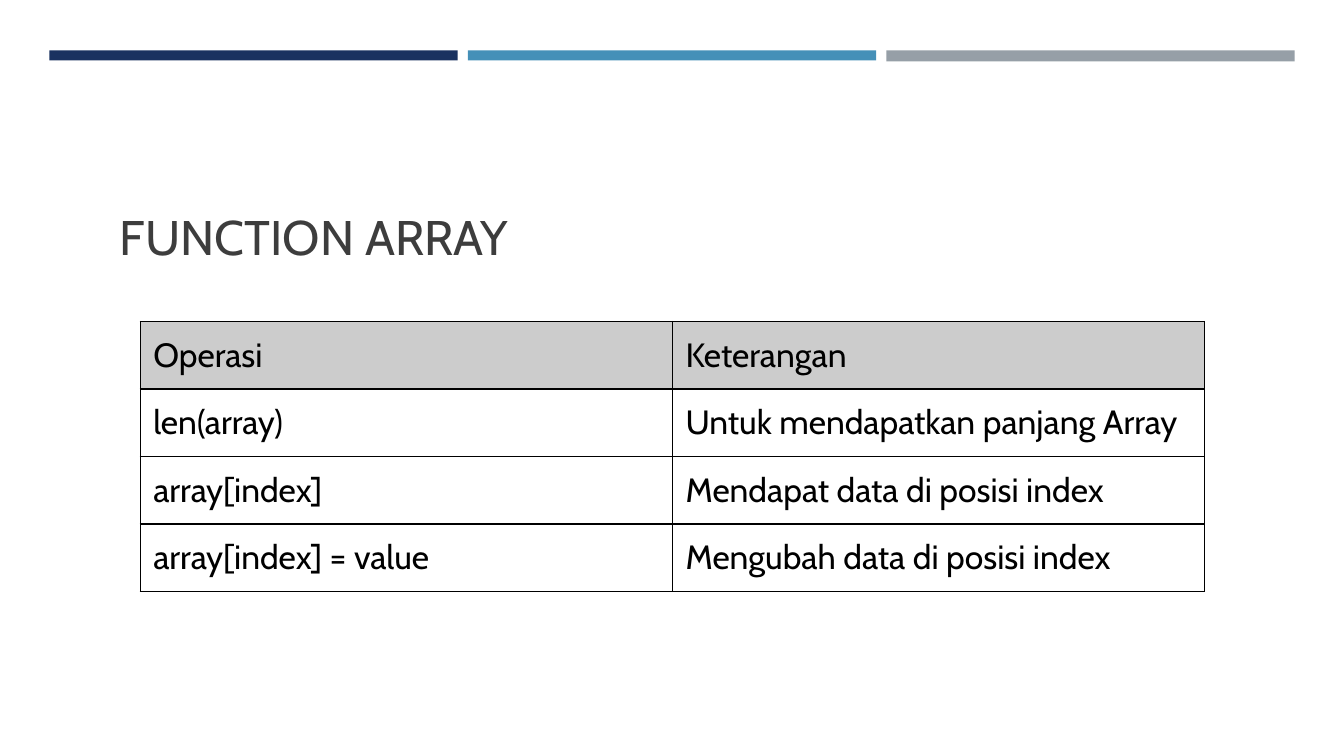
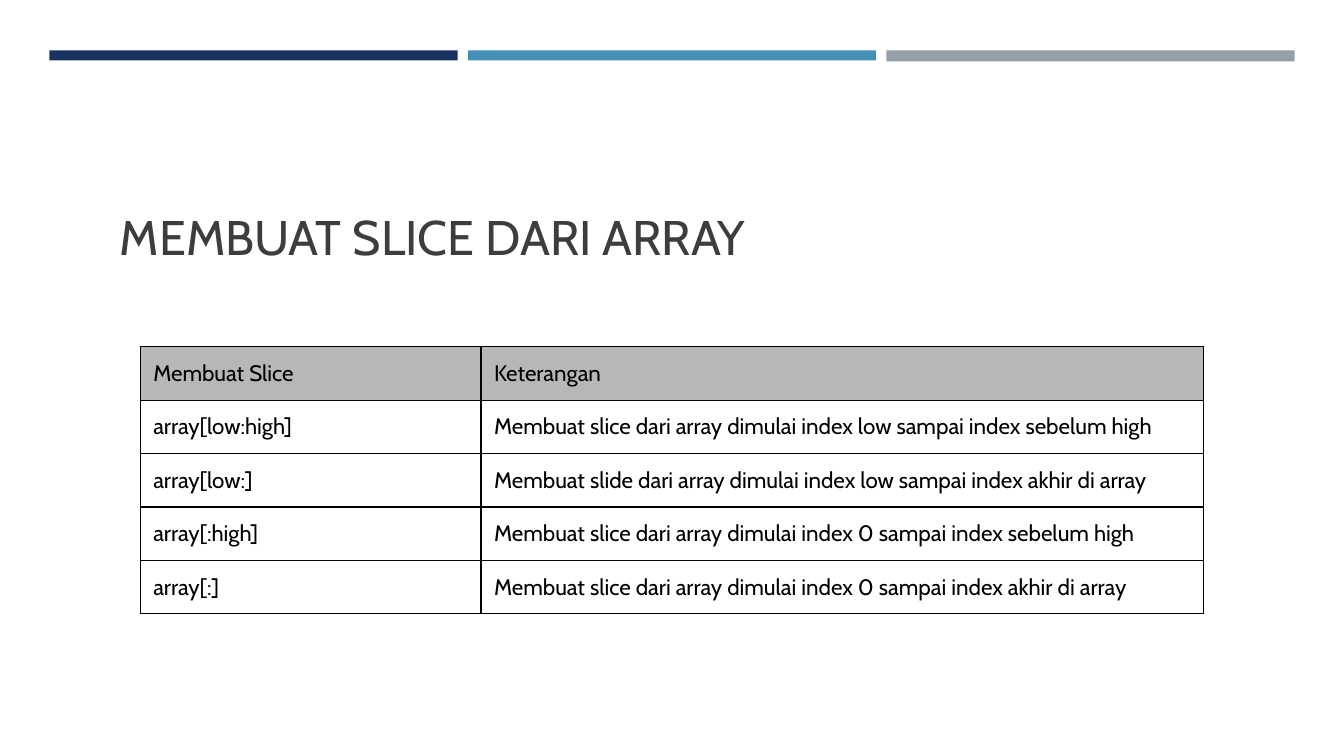
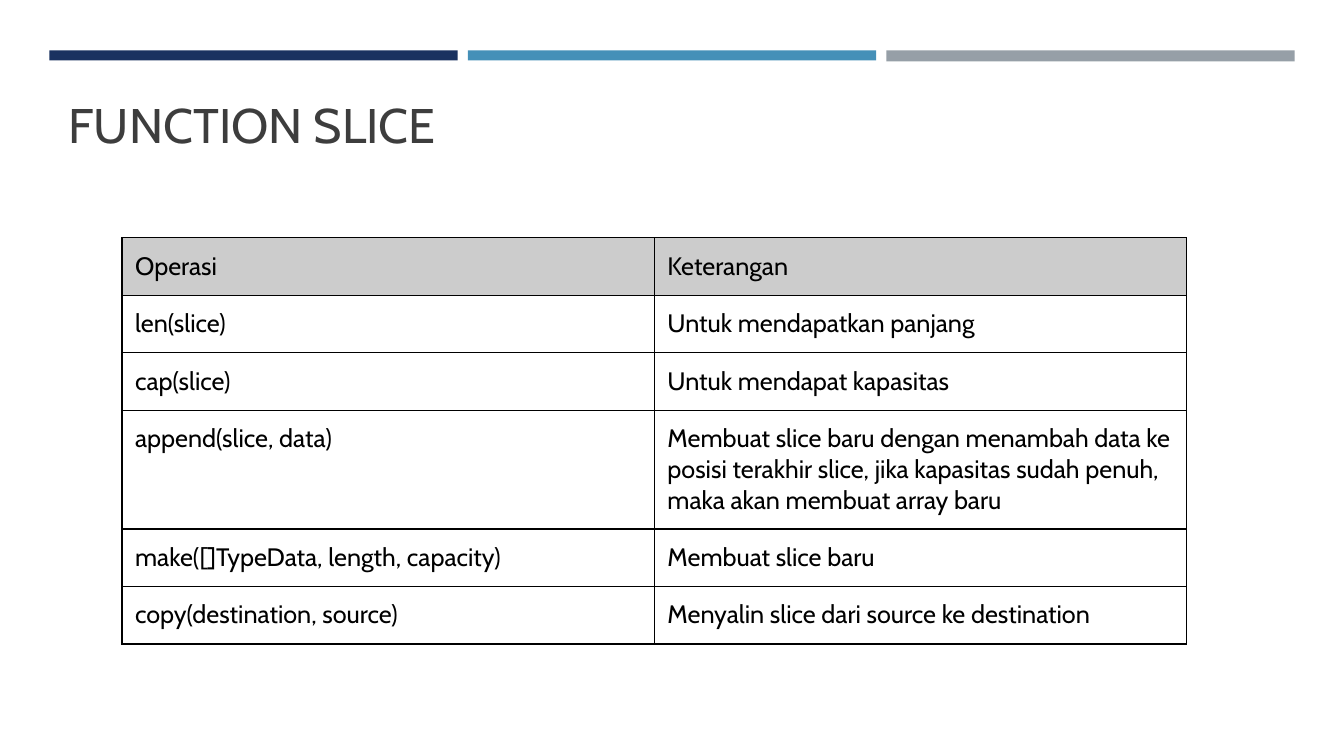
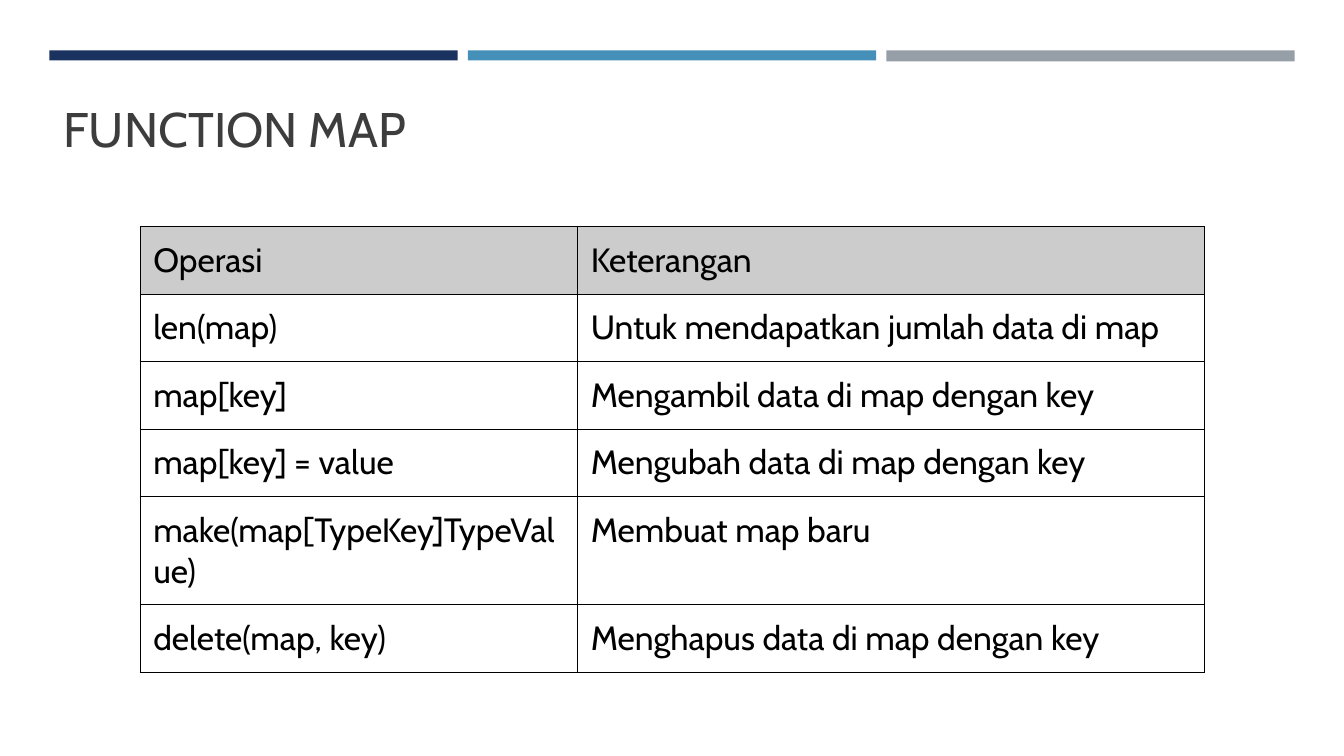
from pptx import Presentation
from pptx.dml.color import RGBColor
from pptx.enum.shapes import MSO_SHAPE
from pptx.enum.text import MSO_ANCHOR
from pptx.oxml.ns import qn
from pptx.util import Inches, Pt
from lxml import etree

RECT = MSO_SHAPE.RECTANGLE
TOP = MSO_ANCHOR.TOP

NAVY = RGBColor(0x1A, 0x32, 0x60)
BLUE = RGBColor(0x45, 0x90, 0xB8)
GRAY = RGBColor(0x96, 0x9F, 0xA7)
DARK = RGBColor(0x3D, 0x3D, 0x3D)
BLACK = RGBColor(0x00, 0x00, 0x00)
LIGHT_HEADER = RGBColor(0xCC, 0xCC, 0xCC)
MID_HEADER = RGBColor(0xB7, 0xB7, 0xB7)

FONT = "Cabin"
INSET = Inches(0.13)
BORDER = Pt(1)


class Deck:
    """Shared style and the current slide."""

    def __init__(self):
        self.prs = Presentation()
        self.prs.slide_width = Inches(13.33)
        self.prs.slide_height = Inches(7.5)
        self.s = None

    def slide(self, title, left, top):
        self.s = self.prs.slides.add_slide(self.prs.slide_layouts[6])
        self.bands()
        self.title(title, left, top)

    def bands(self):
        for i, (color, height) in enumerate(((NAVY, 0.1), (BLUE, 0.1), (GRAY, 0.11))):
            sp = self.s.shapes.add_shape(
                RECT, Inches(0.49 + i * 4.15), Inches(0.5), Inches(4.05), Inches(height))
            sp.shadow.inherit = False
            sp.fill.solid()
            sp.fill.fore_color.rgb = color
            sp.line.fill.background()

    def title(self, text, left, top):
        sp = self.s.shapes.add_textbox(
            Inches(left), Inches(top), Inches(11.21), Inches(0.78))
        tf = sp.text_frame
        tf.word_wrap = True
        tf.vertical_anchor = TOP
        self.margins(tf)
        self.text(tf, text, 34.7, DARK)

    def table(self, left, top, widths, heights, rows, size, header):
        frame = self.s.shapes.add_table(
            len(rows), len(widths), Inches(left), Inches(top),
            Inches(sum(widths)), Inches(sum(heights)))
        table = frame.table
        table.first_row = False
        table.horz_banding = False
        for column, width in zip(table.columns, widths):
            column.width = Inches(width)
        for i, (row, height) in enumerate(zip(rows, heights)):
            table.rows[i].height = Inches(height)
            for j, text in enumerate(row):
                self.cell(table.cell(i, j), text, size, header if i == 0 else None)

    def cell(self, cell, text, size, fill):
        self.margins(cell)
        cell.vertical_anchor = TOP
        self.text(cell.text_frame, text, size, BLACK)
        self.borders(cell)
        if fill is None:
            cell.fill.background()
        else:
            cell.fill.solid()
            cell.fill.fore_color.rgb = fill

    def borders(self, cell):
        tcPr = cell._tc.get_or_add_tcPr()
        for side in ("a:lnL", "a:lnR", "a:lnT", "a:lnB"):
            ln = etree.SubElement(tcPr, qn(side), w=str(int(BORDER)))
            solid = etree.SubElement(ln, qn("a:solidFill"))
            etree.SubElement(solid, qn("a:srgbClr"), val=str(BLACK))

    def margins(self, box):
        box.margin_left = box.margin_right = INSET
        box.margin_top = box.margin_bottom = INSET

    def text(self, tf, text, size, color):
        tf.text = text
        font = tf.paragraphs[0].runs[0].font
        font.name = FONT
        font.size = Pt(size)
        font.color.rgb = color


def main():
    deck = Deck()

    # Array functions
    deck.slide("FUNCTION ARRAY", 1.06, 1.92)
    deck.table(1.39, 3.19, [5.28, 5.28], [0.67] * 4, [
        ("Operasi", "Keterangan"),
        ("len(array)", "Untuk mendapatkan panjang Array"),
        ("array[index]", "Mendapat data di posisi index"),
        ("array[index] = value", "Mengubah data di posisi index"),
    ], 24, LIGHT_HEADER)

    # Slices of an array
    deck.slide("MEMBUAT SLICE DARI ARRAY", 1.06, 1.92)
    deck.table(1.39, 3.44, [3.38, 7.17], [0.53] * 5, [
        ("Membuat Slice", "Keterangan"),
        ("array[low:high]",
         "Membuat slice dari array dimulai index low sampai index sebelum high"),
        ("array[low:]",
         "Membuat slide dari array dimulai index low sampai index akhir di array"),
        ("array[:high]",
         "Membuat slice dari array dimulai index 0 sampai index sebelum high"),
        ("array[:]",
         "Membuat slice dari array dimulai index 0 sampai index akhir di array"),
    ], 16, MID_HEADER)

    # Slice functions
    deck.slide("FUNCTION SLICE", 0.55, 0.81)
    deck.table(1.21, 2.36, [5.28, 5.28], [0.57, 0.57, 0.57, 1.18, 0.57, 0.57], [
        ("Operasi", "Keterangan"),
        ("len(slice)", "Untuk mendapatkan panjang"),
        ("cap(slice)", "Untuk mendapat kapasitas"),
        ("append(slice, data)",
         "Membuat slice baru dengan menambah data ke posisi terakhir slice, "
         "jika kapasitas sudah penuh, maka akan membuat array baru"),
        ("make([]TypeData, length, capacity)", "Membuat slice baru"),
        ("copy(destination, source)", "Menyalin slice dari source ke destination"),
    ], 18, LIGHT_HEADER)

    # Map functions
    deck.slide("FUNCTION MAP", 0.5, 0.85)
    deck.table(1.39, 2.25, [4.34, 6.22], [0.67, 0.67, 0.67, 0.67, 1.07, 0.67], [
        ("Operasi", "Keterangan"),
        ("len(map)", "Untuk mendapatkan jumlah data di map"),
        ("map[key]", "Mengambil data di map dengan key"),
        ("map[key] = value", "Mengubah data di map dengan key"),
        ("make(map[TypeKey]TypeValue)", "Membuat map baru"),
        ("delete(map, key)", "Menghapus data di map dengan key"),
    ], 24, LIGHT_HEADER)

    deck.prs.save("out.pptx")


if __name__ == "__main__":
    main()
